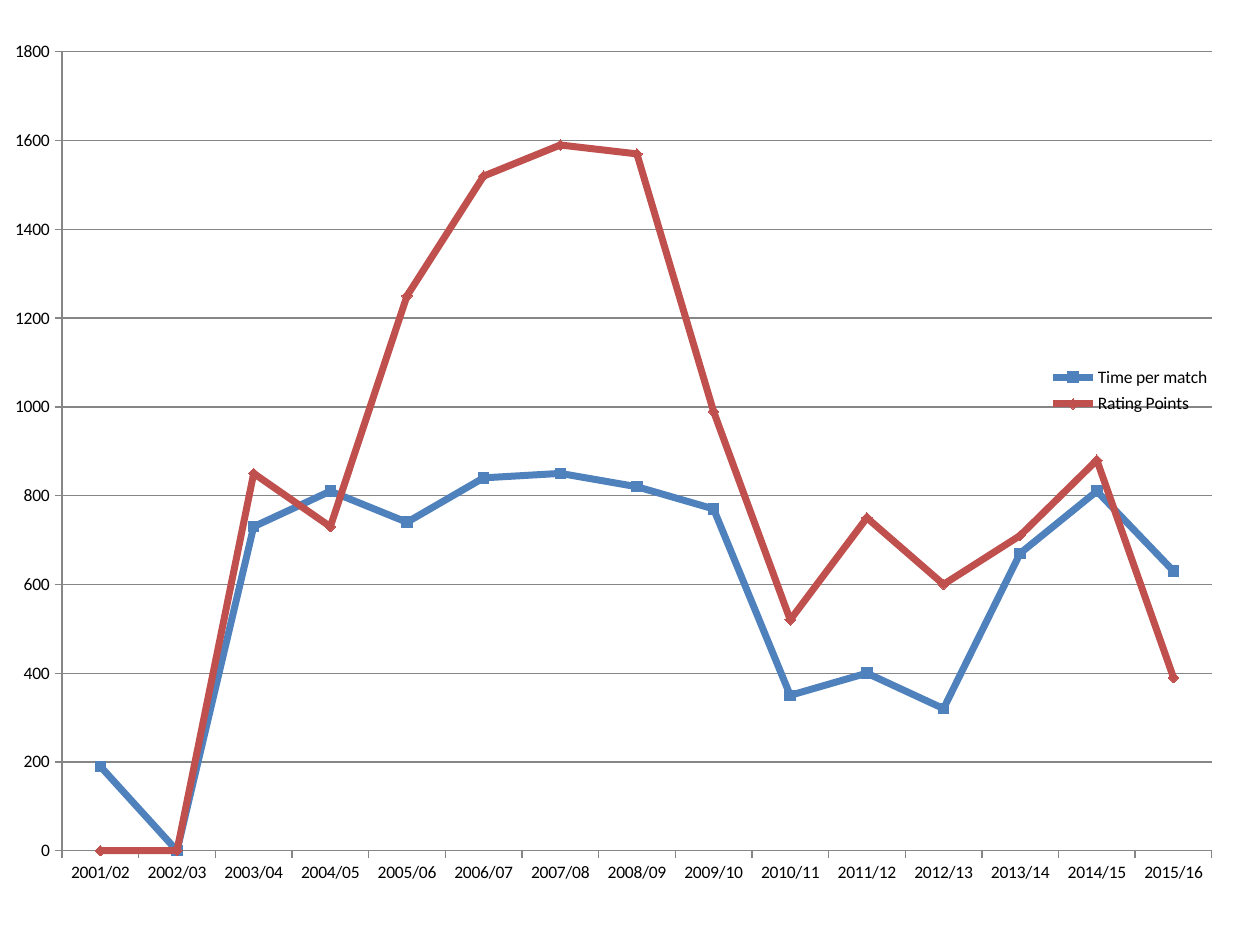
from dataclasses import dataclass

from lxml import etree
from pptx import Presentation
from pptx.chart.data import CategoryChartData
from pptx.dml.color import RGBColor
from pptx.enum.chart import XL_CHART_TYPE, XL_LEGEND_POSITION, XL_MARKER_STYLE, XL_TICK_MARK
from pptx.oxml.ns import qn
from pptx.util import Inches, Pt

LINE_MARKERS = XL_CHART_TYPE.LINE_MARKERS
LEGEND_RIGHT = XL_LEGEND_POSITION.RIGHT
SQUARE, DIAMOND = XL_MARKER_STYLE.SQUARE, XL_MARKER_STYLE.DIAMOND
TICK_OUTSIDE = XL_TICK_MARK.OUTSIDE


@dataclass(frozen=True)
class Theme:
    font: str = "Calibri"
    text_size: Pt = Pt(10)
    text: RGBColor = RGBColor(0, 0, 0)
    grid: RGBColor = RGBColor(0x86, 0x86, 0x86)
    time: RGBColor = RGBColor(0x4F, 0x81, 0xBD)
    rating: RGBColor = RGBColor(0xC0, 0x50, 0x4D)
    grid_width: Pt = Pt(0.75)
    series_width: Pt = Pt(4)
    marker_size: int = 6


THEME = Theme()

SEASONS = [f"{year}/{(year + 1) % 100:02d}" for year in range(2001, 2016)]
TIME_PER_MATCH = [190, 0, 730, 810, 740, 840, 850, 820, 770, 350, 400, 320, 670, 810, 630]
RATING_POINTS = [0, 0, 850, 730, 1250, 1520, 1590, 1570, 990, 520, 750, 600, 710, 880, 390]


def set_layout(element, index, left, top, width, height, inner=False):
    """Place a chart part by fractions of the chart area."""
    for old_layout in element.findall(qn("c:layout")):
        element.remove(old_layout)
    layout = etree.Element(qn("c:layout"))
    manual = etree.SubElement(layout, qn("c:manualLayout"))
    settings = [("layoutTarget", "inner")] if inner else []
    settings += [("xMode", "edge"), ("yMode", "edge")]
    settings += [("x", left), ("y", top), ("w", width), ("h", height)]
    for name, value in settings:
        etree.SubElement(manual, qn(f"c:{name}")).set("val", str(value))
    element.insert(index, layout)


def style_line(line, color, width):
    line.color.rgb = color
    line.width = width


def style_series(series, color, marker_style):
    series.smooth = False
    style_line(series.format.line, color, THEME.series_width)
    marker = series.marker
    marker.style = marker_style
    marker.size = THEME.marker_size
    marker.format.fill.solid()
    marker.format.fill.fore_color.rgb = color
    marker.format.line.color.rgb = color


def style_axes(chart):
    for axis in (chart.category_axis, chart.value_axis):
        axis.major_tick_mark = TICK_OUTSIDE
        style_line(axis.format.line, THEME.grid, THEME.grid_width)
    value_axis = chart.value_axis
    value_axis.minimum_scale = 0
    value_axis.maximum_scale = 1800
    value_axis.major_unit = 200
    value_axis.has_major_gridlines = True
    style_line(value_axis.major_gridlines.format.line, THEME.grid, THEME.grid_width)


def add_legend(chart):
    chart.has_legend = True
    chart.legend.position = LEGEND_RIGHT
    chart.legend.include_in_layout = True
    legend = chart.element.find(f".//{qn('c:legend')}")
    set_layout(legend, 1, 0.78, 0.37, 0.15, 0.07)


def add_season_chart(slide):
    data = CategoryChartData()
    data.categories = SEASONS
    data.add_series("Time per match", TIME_PER_MATCH)
    data.add_series("Rating Points", RATING_POINTS)
    frame = slide.shapes.add_chart(
        LINE_MARKERS, Inches(-0.58), Inches(0.33), Inches(11.17), Inches(6.84), data
    )
    chart = frame.chart
    chart.has_title = False
    chart.font.name = THEME.font
    chart.font.size = THEME.text_size
    chart.font.color.rgb = THEME.text
    plot = chart.plots[0]
    plot.vary_by_categories = False
    for series, color, marker in zip(
        plot.series, (THEME.time, THEME.rating), (SQUARE, DIAMOND)
    ):
        style_series(series, color, marker)
    style_axes(chart)
    add_legend(chart)
    plot_area = chart.element.find(f".//{qn('c:plotArea')}")
    set_layout(plot_area, 0, 0.096, 0.012, 0.817, 0.927, inner=True)


def main():
    presentation = Presentation()
    presentation.slide_width = Inches(10)
    presentation.slide_height = Inches(7.5)
    slide = presentation.slides.add_slide(presentation.slide_layouts[6])
    add_season_chart(slide)
    presentation.save("out.pptx")


if __name__ == "__main__":
    main()
